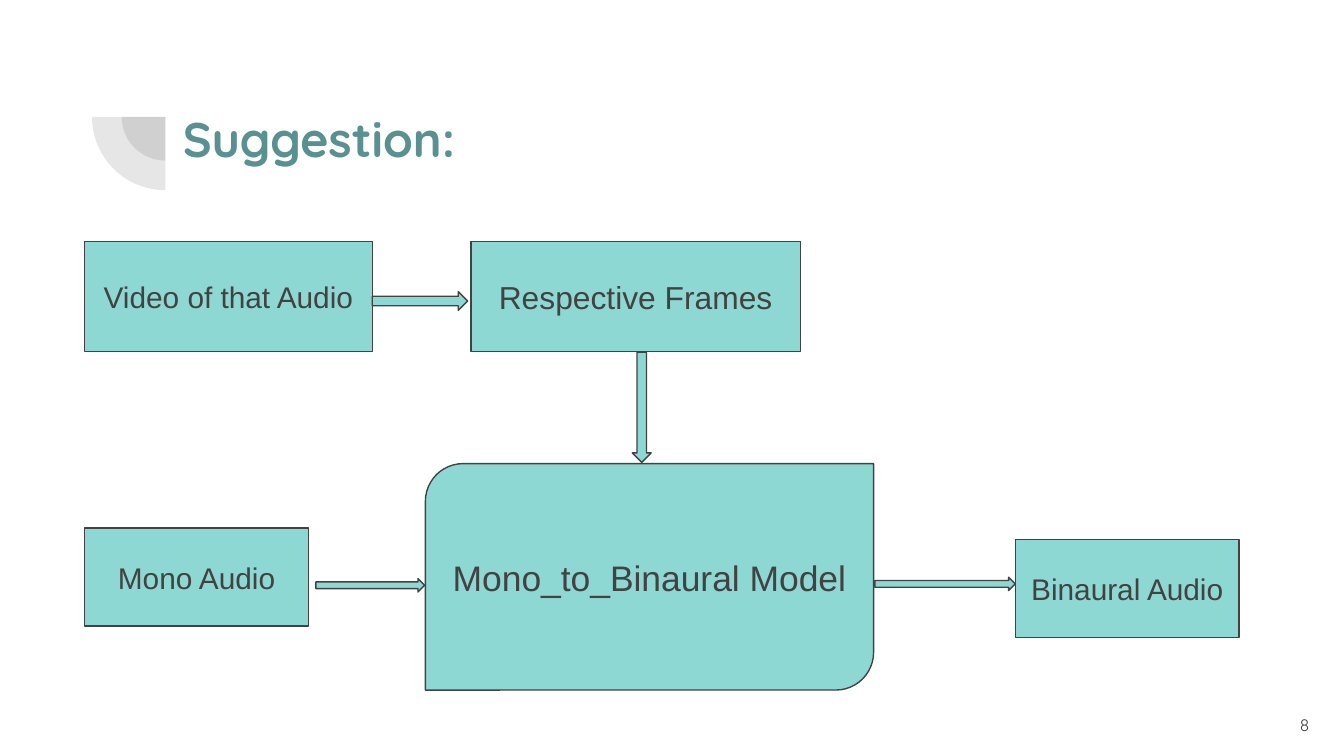
from lxml import etree
from pptx import Presentation
from pptx.dml.color import RGBColor
from pptx.enum.shapes import MSO_SHAPE
from pptx.enum.text import MSO_ANCHOR, PP_ALIGN
from pptx.oxml.ns import qn
from pptx.util import Pt

PX = 4572  # EMU in one px, 200 px to the inch
TEAL = RGBColor(0x8D, 0xD8, 0xD3)
DARK = RGBColor(0x42, 0x42, 0x42)
HEAD = RGBColor(0x59, 0x91, 0x91)
RECT, ROUND = MSO_SHAPE.RECTANGLE, MSO_SHAPE.ROUND_2_DIAG_RECTANGLE
RIGHT, DOWN = MSO_SHAPE.RIGHT_ARROW, MSO_SHAPE.DOWN_ARROW
PIE = MSO_SHAPE.PIE
TOP, MIDDLE = MSO_ANCHOR.TOP, MSO_ANCHOR.MIDDLE
LEFT, CENTER, END = PP_ALIGN.LEFT, PP_ALIGN.CENTER, PP_ALIGN.RIGHT

BOXES = [
    (RECT, (126, 786, 333, 146), "Mono Audio", 16),
    (ROUND, (633, 690, 667, 337), "Mono_to_Binaural Model", 19),
    (RECT, (1511, 803, 333, 146), "Binaural Audio", 16),
    (RECT, (126, 359, 428, 164), "Video of that Audio", 16),
    (RECT, (701, 359, 490, 164), "Respective Frames", 17),
]
ARROWS = [
    (RIGHT, (470, 861, 162, 20)),
    (RIGHT, (1302, 859, 209, 20)),
    (RIGHT, (554, 434, 142, 28)),
    (DOWN, (941, 524, 28, 164)),
]


def emu(box):
    return [n * PX for n in box]


def write(shape, text, align, anchor, **font):
    frame = shape.text_frame
    frame.text = text
    frame.word_wrap = True
    frame.vertical_anchor = anchor
    for side in ("left", "top", "right", "bottom"):
        setattr(frame, f"margin_{side}", 20 * PX)
    para = frame.paragraphs[0]
    para.alignment = align
    style = para.runs[0].font
    style.color.rgb = font.pop("color", DARK)
    for name, value in font.items():
        setattr(style, name, value)


def add_shape(slide, kind, box, fill=TEAL):
    shape = slide.shapes.add_shape(kind, *emu(box))
    shape.shadow.inherit = False
    shape.fill.solid()
    shape.fill.fore_color.rgb = fill
    shape.line.color.rgb = DARK
    shape.line.width = Pt(0.75)
    return shape


def add_pie(slide, size):
    """Add a faint quarter disc, centred on the corner beside the title."""
    half = size // 2
    pie = add_shape(slide, PIE, (246 - half, 174 - half, size, size), DARK)
    pie.rotation = 270
    pie.adjustments[0] = 108
    pie.adjustments[1] = 162
    pie.line.fill.background()
    color = pie.fill._xPr.find(qn("a:solidFill"))[0]
    etree.SubElement(color, qn("a:alpha"), val="13000")


def add_title(slide, text):
    title = slide.shapes.title
    title.left, title.top, title.width, title.height = emu((252, 142, 846, 128))
    write(title, text, LEFT, TOP,
          size=Pt(26), name="Quicksand", bold=True, color=HEAD)


def add_number(slide, text):
    box = slide.shapes.add_textbox(*emu((1848, 1036, 120, 86)))
    write(box, text, END, MIDDLE, size=Pt(9), name="Quicksand")


def main():
    deck = Presentation()
    deck.slide_width, deck.slide_height = emu((2000, 1125))
    slide = deck.slides.add_slide(deck.slide_layouts[5])
    for size in (130, 218):
        add_pie(slide, size)
    add_title(slide, "Suggestion:")
    for kind, box, text, size in BOXES:
        shape = add_shape(slide, kind, box)
        write(shape, text, CENTER, MIDDLE, size=Pt(size), name="Arial")
    for kind, box in ARROWS:
        add_shape(slide, kind, box)
    add_number(slide, "8")
    deck.save("out.pptx")


if __name__ == "__main__":
    main()
